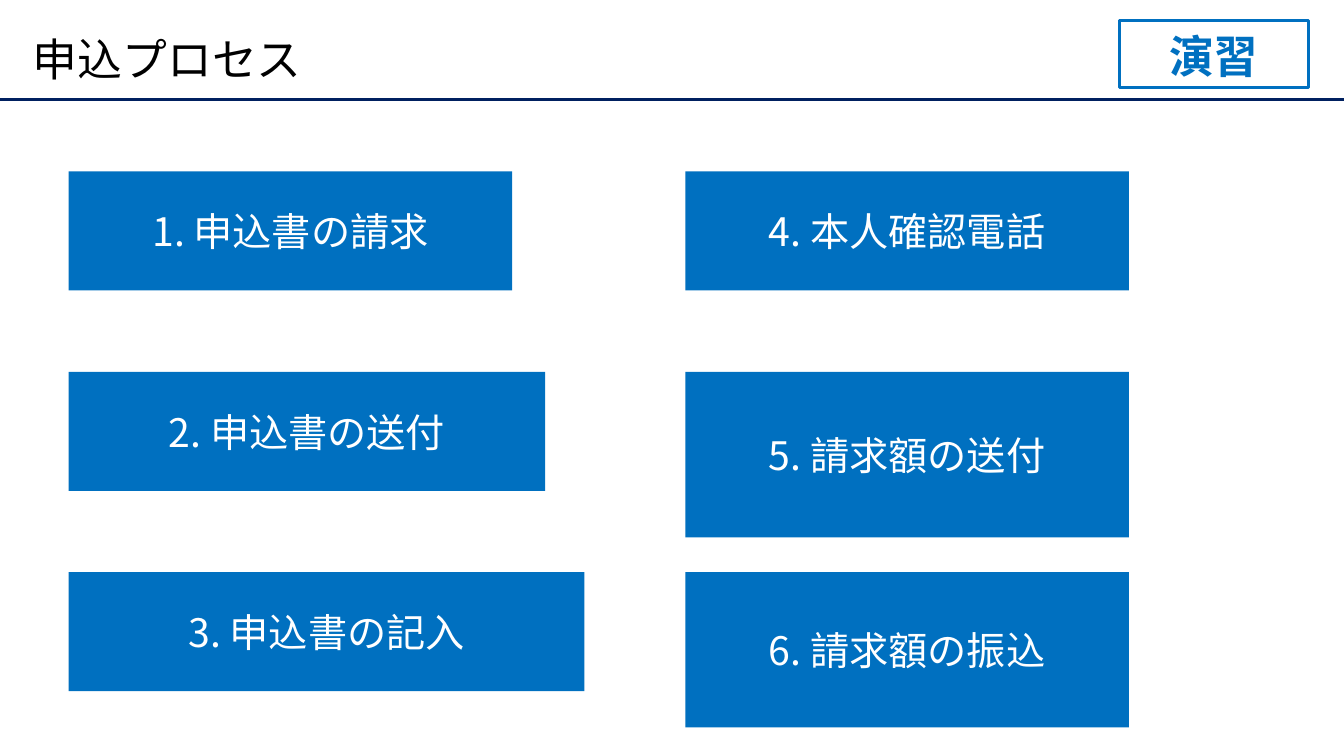
from dataclasses import dataclass

from lxml.etree import SubElement
from pptx import Presentation
from pptx.dml.color import RGBColor
from pptx.enum.shapes import MSO_CONNECTOR, MSO_SHAPE
from pptx.enum.text import MSO_ANCHOR, PP_ALIGN
from pptx.oxml.ns import qn
from pptx.shapes.autoshape import Shape
from pptx.slide import Slide
from pptx.util import Cm, Pt

FONT = "Noto Sans CJK JP"
BLACK = RGBColor(0x00, 0x00, 0x00)
WHITE = RGBColor(0xFF, 0xFF, 0xFF)
BLUE = RGBColor(0x00, 0x70, 0xC0)
NAVY = RGBColor(0x00, 0x20, 0x60)

SLIDE_W, SLIDE_H = 33.87, 19.05
COLUMN_LEFTS = (1.73, 17.27)
ROWS_PER_COLUMN = 3
FIRST_ROW_TOP, ROW_PITCH = 4.32, 5.05


@dataclass
class Step:
    label: str
    width: float = 11.18
    height: float = 3.0


STEPS = [
    Step("申込書の請求"),
    Step("申込書の送付", width=12.01),
    Step("申込書の記入", width=13.0),
    Step("本人確認電話"),
    Step("請求額の送付", height=4.17),
    Step("請求額の振込", height=3.91),
]


def write(sp: Shape, text: str, size: int, color: RGBColor, bold: bool = False,
          align: PP_ALIGN = PP_ALIGN.CENTER,
          anchor: MSO_ANCHOR = MSO_ANCHOR.MIDDLE) -> None:
    tf = sp.text_frame
    tf.word_wrap = True
    tf.vertical_anchor = anchor
    p = tf.paragraphs[0]
    p.text = text
    p.alignment = align
    p.font.size = Pt(size)
    p.font.bold = bold
    p.font.color.rgb = color
    p.font.name = FONT
    def_rpr = p._p.pPr.find(qn("a:defRPr"))
    SubElement(def_rpr, qn("a:ea")).set("typeface", FONT)


def add_box(s: Slide, left: float, top: float, width: float, height: float) -> Shape:
    """Add a rectangle with no shadow, fill or line."""
    sp = s.shapes.add_shape(MSO_SHAPE.RECTANGLE, Cm(left), Cm(top), Cm(width), Cm(height))
    sp.shadow.inherit = False
    sp.fill.background()
    sp.line.fill.background()
    return sp


def add_header(s: Slide) -> None:
    rule = s.shapes.add_connector(MSO_CONNECTOR.STRAIGHT, 0, Cm(2.51), Cm(SLIDE_W), Cm(2.51))
    rule.line.color.rgb = NAVY
    rule.line.width = Pt(2.25)
    SubElement(rule._element.spPr, qn("a:effectLst"))

    title = s.shapes.add_textbox(Cm(0.58), Cm(0.51), Cm(32), Cm(2.13))
    write(title, "申込プロセス", 32, BLACK, align=PP_ALIGN.LEFT)
    title.text_frame.paragraphs[0].line_spacing = 0.9

    badge = add_box(s, 28.22, 0.51, 4.75, 1.7)
    badge.line.color.rgb = BLUE
    badge.line.width = Pt(2.25)
    write(badge, "演習", 32, BLUE, bold=True, anchor=MSO_ANCHOR.BOTTOM)


def add_steps(s: Slide) -> None:
    for i, step in enumerate(STEPS):
        column, row = divmod(i, ROWS_PER_COLUMN)
        sp = add_box(s, COLUMN_LEFTS[column], FIRST_ROW_TOP + row * ROW_PITCH,
                     step.width, step.height)
        sp.fill.solid()
        sp.fill.fore_color.rgb = BLUE
        write(sp, f"{i + 1}. {step.label}", 28, WHITE)


def main() -> None:
    prs = Presentation()
    prs.slide_width, prs.slide_height = Cm(SLIDE_W), Cm(SLIDE_H)
    s = prs.slides.add_slide(prs.slide_layouts[6])
    add_header(s)
    add_steps(s)
    prs.save("out.pptx")


if __name__ == "__main__":
    main()
